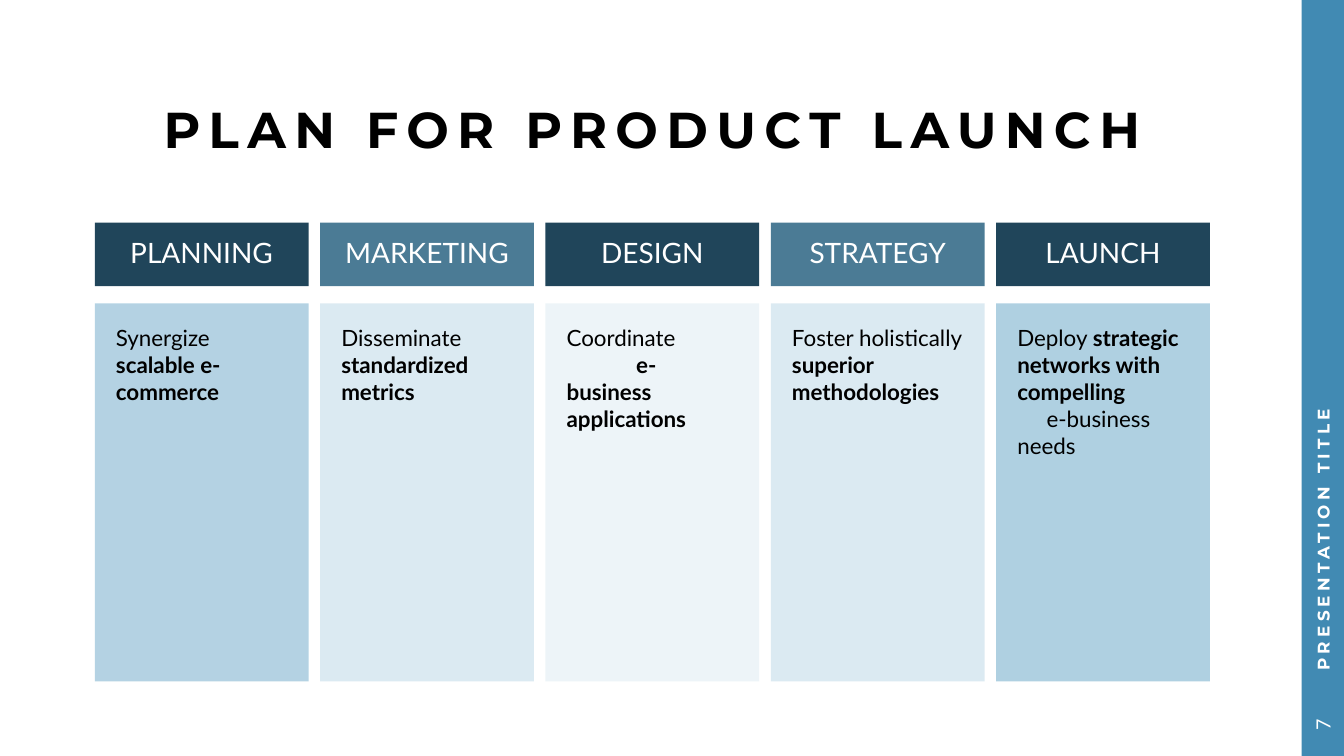
from lxml.etree import SubElement
from pptx import Presentation
from pptx.dml.color import RGBColor
from pptx.enum.shapes import MSO_SHAPE
from pptx.enum.text import MSO_ANCHOR, PP_ALIGN
from pptx.oxml.ns import qn
from pptx.util import Inches, Pt

BLACK = RGBColor(0x00, 0x00, 0x00)
WHITE = RGBColor(0xFF, 0xFF, 0xFF)
BAR = RGBColor(0x41, 0x8A, 0xB3)
NAVY = RGBColor(0x20, 0x45, 0x5A)
STEEL = RGBColor(0x31, 0x68, 0x86)
SKY = RGBColor(0x8A, 0xBA, 0xD4)
PALE = RGBColor(0xB1, 0xD1, 0xE3)
MIST = RGBColor(0xD8, 0xE8, 0xF1)

# Slide and column grid, in inches
W, H = 13.33, 7.5
LEFT, PITCH, COL_W = 0.94, 2.235, 2.12
HEAD_TOP, HEAD_H = 2.21, 0.63
BODY_TOP, BODY_H = 3.01, 3.75
BAR_W = 0.42
BAR_MID = W - BAR_W / 2

prs = Presentation()
prs.slide_width, prs.slide_height = Inches(W), Inches(H)
s = prs.slides.add_slide(prs.slide_layouts[6])


def add_box(x, y, w, h, fill=None, alpha=100, inset=(0, 0), anchor=MSO_ANCHOR.MIDDLE):
    """Add a filled rectangle, or a text box when there is no fill."""
    at = [Inches(v) for v in (x, y, w, h)]
    if fill is None:
        sp = s.shapes.add_textbox(*at)
    else:
        sp = s.shapes.add_shape(MSO_SHAPE.RECTANGLE, *at)
        sp.shadow.inherit = False
        sp.fill.solid()
        sp.fill.fore_color.rgb = fill
        sp.line.fill.background()
        if alpha < 100:
            clr = sp.fill._xPr.find(".//" + qn("a:srgbClr"))
            SubElement(clr, qn("a:alpha")).set("val", str(alpha * 1000))
    tf = sp.text_frame
    tf.word_wrap = True
    tf.vertical_anchor = anchor
    tf.margin_left = tf.margin_right = Inches(inset[0])
    tf.margin_top = tf.margin_bottom = Inches(inset[1])
    return sp


def add_run(p, text, size, color, font="Lato", bold=False, spacing=0):
    r = p.add_run()
    r.text = text
    r.font.name, r.font.size, r.font.bold = font, Pt(size), bold
    r.font.color.rgb = color
    if spacing:
        r._r.get_or_add_rPr().set("spc", str(spacing * 100))


# Side bar
add_box(W - BAR_W, 0, BAR_W, H, BAR)

# Title, centred over the columns
p = add_box(LEFT, 0.96, 4 * PITCH + COL_W, 0.71).text_frame.paragraphs[0]
p.alignment, p.line_spacing = PP_ALIGN.CENTER, 0.9
add_run(p, "PLAN FOR PRODUCT LAUNCH", 36, BLACK, "Montserrat", True, 6)

# Columns: heading, body fill, opacity, paragraphs of (first-line indent, runs)
columns = [
    ("PLANNING", SKY, 64, [(0, [("Synergize ", False), ("scalable e-commerce", True)])]),
    ("MARKETING", PALE, 45, [(0, [("Disseminate ", False), ("standardized metrics", True)])]),
    ("DESIGN", MIST, 44, [(0, [("Coordinate", False)]),
                          (0.69, [("e-business applications", True)])]),
    ("STRATEGY", PALE, 45, [(0, [("Foster holistically ", False),
                                 ("superior methodologies", True)])]),
    ("LAUNCH", SKY, 68, [(0, [("Deploy ", False),
                              ("strategic networks with compelling", True)]),
                         (0.29, [("e-business needs", False)])]),
]
for i, (heading, fill, alpha, paragraphs) in enumerate(columns):
    x = LEFT + i * PITCH
    head_fill, head_alpha = (STEEL, 87) if i % 2 else (NAVY, 100)
    sp = add_box(x, HEAD_TOP, COL_W, HEAD_H, head_fill, head_alpha, (0.17, 0.17))
    p = sp.text_frame.paragraphs[0]
    p.alignment, p.line_spacing = PP_ALIGN.CENTER, 0.9
    add_run(p, heading, 20, WHITE)

    sp = add_box(x, BODY_TOP, COL_W, BODY_H, fill, alpha, (0.21, 0.21), MSO_ANCHOR.TOP)
    tf = sp.text_frame
    for n, (indent, runs) in enumerate(paragraphs):
        p = tf.add_paragraph() if n else tf.paragraphs[0]
        p.alignment = PP_ALIGN.LEFT
        if indent:
            p._p.get_or_add_pPr().set("indent", str(Inches(indent)))
        for text, bold in runs:
            add_run(p, text, 16, BLACK, bold=bold)

# Footer and page number, turned to read up the side bar
for text, length, mid, inset, align, style in [
    ("PRESENTATION TITLE", 6.88, 3.44, 0.23, PP_ALIGN.LEFT, (12, WHITE, "Montserrat", True, 3)),
    ("7", 0.62, 7.19, 0.1, PP_ALIGN.CENTER, (14, WHITE)),
]:
    sp = add_box(BAR_MID - length / 2, mid - BAR_W / 2, length, BAR_W, inset=(inset, 0.05))
    sp.rotation = 270
    p = sp.text_frame.paragraphs[0]
    p.alignment = align
    add_run(p, text, *style)

prs.save("out.pptx")
